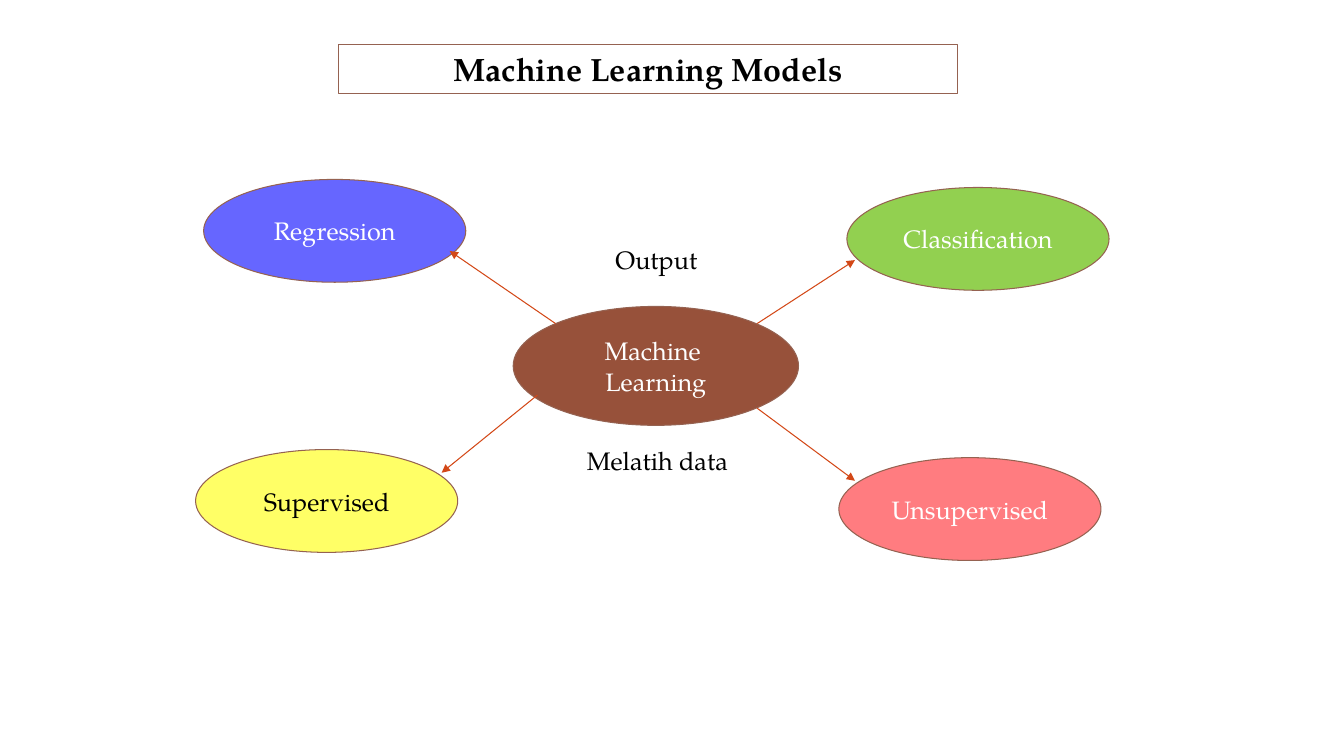
import pptx
import pptx.util
import pptx.dml.color
import pptx.enum.shapes
import pptx.enum.text
import pptx.oxml
import pptx.oxml.ns
from pptx.util import Inches

RGBColor = pptx.dml.color.RGBColor
WHITE = RGBColor(0xFF, 0xFF, 0xFF)
BLACK = RGBColor(0x00, 0x00, 0x00)
BLUE = RGBColor(0x66, 0x66, 0xFF)
GREEN = RGBColor(0x92, 0xD0, 0x50)
YELLOW = RGBColor(0xFF, 0xFF, 0x66)
PINK = RGBColor(0xFF, 0x7C, 0x80)
BROWN = RGBColor(0x97, 0x51, 0x3A)
OUTLINE = RGBColor(0x95, 0x62, 0x51)
ARROW = RGBColor(0xD3, 0x48, 0x17)
FONT = "TeX Gyre Pagella"
LINE_WIDTH = pptx.util.Pt(0.75)


def write_text(shape, text, color, size=18, bold=False):
    frame = shape.text_frame
    frame.text = text
    frame.word_wrap = True
    frame.auto_size = pptx.enum.text.MSO_AUTO_SIZE.NONE
    frame.vertical_anchor = pptx.enum.text.MSO_ANCHOR.MIDDLE
    for para in frame.paragraphs:
        para.alignment = pptx.enum.text.PP_ALIGN.CENTER
        for span in para.runs:
            span.font.name = FONT
            span.font.size = pptx.util.Pt(size)
            span.font.bold = bold
            span.font.color.rgb = color


def draw_outline(shape, color):
    shape.line.color.rgb = color
    shape.line.width = LINE_WIDTH


deck = pptx.Presentation()
deck.slide_width = Inches(13.33)
deck.slide_height = Inches(7.5)
page = deck.slides.add_slide(deck.slide_layouts[5])

# Title
title = page.shapes.title
title.left, title.top = Inches(3.36), Inches(0.44)
title.width, title.height = Inches(6.14), Inches(0.49)
write_text(title, "Machine Learning Models", BLACK, 23, True)
draw_outline(title, OUTLINE)

# Model types around the central topic
ellipses = [
    ("Regression", 2.02, 1.78, 2.6, 1.02, BLUE, WHITE),
    ("Classification", 8.4, 1.86, 2.6, 1.02, GREEN, WHITE),
    ("Supervised", 1.94, 4.46, 2.6, 1.02, YELLOW, BLACK),
    ("Unsupervised", 8.32, 4.54, 2.6, 1.02, PINK, WHITE),
    ("Machine \nLearning", 5.09, 3.04, 2.83, 1.18, BROWN, WHITE),
]
for text, left, top, width, height, fill, color in ellipses:
    ellipse = page.shapes.add_shape(
        pptx.enum.shapes.MSO_SHAPE.OVAL,
        Inches(left), Inches(top), Inches(width), Inches(height))
    ellipse.shadow.inherit = False
    ellipse.fill.solid()
    ellipse.fill.fore_color.rgb = fill
    draw_outline(ellipse, OUTLINE)
    write_text(ellipse, text, color)

# Arrows from the centre to each model type
arrows = [
    (5.51, 3.21, 4.46, 2.49),
    (7.51, 3.21, 8.48, 2.58),
    (5.33, 3.92, 4.38, 4.69),
    (7.51, 4.05, 8.48, 4.77),
]
for ends in arrows:
    arrow = page.shapes.add_connector(
        pptx.enum.shapes.MSO_CONNECTOR.STRAIGHT, *[Inches(end) for end in ends])
    draw_outline(arrow, ARROW)
    head = pptx.oxml.parse_xml(
        f'<a:tailEnd {pptx.oxml.ns.nsdecls("a")} type="triangle"/>')
    arrow.line._get_or_add_ln().append(head)
    arrow._element.spPr.append(pptx.oxml.parse_xml(
        f'<a:effectLst {pptx.oxml.ns.nsdecls("a")}/>'))

# Labels above and below the centre
for text, left, top in [("Output", 5.42, 2.37), ("Melatih data", 5.43, 4.37)]:
    label = page.shapes.add_textbox(
        Inches(left), Inches(top), Inches(2.18), Inches(0.4))
    write_text(label, text, BLACK)

deck.save("out.pptx")
